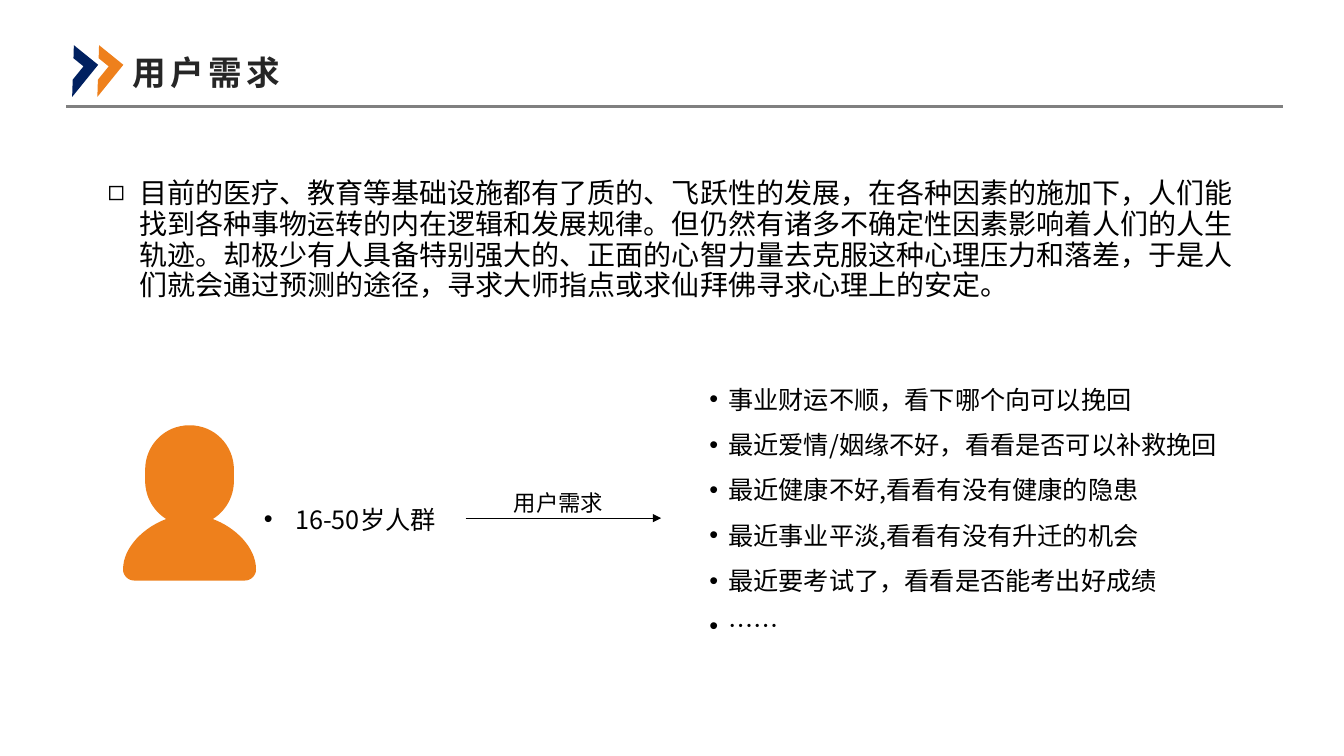
from dataclasses import dataclass

from lxml import etree
from pptx import Presentation
from pptx.dml.color import RGBColor
from pptx.enum.shapes import MSO_CONNECTOR, MSO_SHAPE
from pptx.enum.text import MSO_ANCHOR
from pptx.oxml.ns import qn
from pptx.util import Pt

STRAIGHT = MSO_CONNECTOR.STRAIGHT
HALF_FRAME = MSO_SHAPE.HALF_FRAME
TOP, MIDDLE = MSO_ANCHOR.TOP, MSO_ANCHOR.MIDDLE


@dataclass(frozen=True)
class Theme:
    black: str = "000000"
    heading: str = "262626"
    rule: str = "808080"
    navy: str = "002060"
    orange: str = "EE801C"
    latin: str = "Arial"
    cjk: str = "Noto Sans CJK SC"
    title_size: int = 24
    intro_size: int = 20
    body_size: int = 18
    label_size: int = 16


THEME = Theme()

INTRO = (
    "目前的医疗、教育等基础设施都有了质的、飞跃性的发展，在各种因素的施加下，"
    "人们能找到各种事物运转的内在逻辑和发展规律。但仍然有诸多不确定性因素影响着"
    "人们的人生轨迹。却极少有人具备特别强大的、正面的心智力量去克服这种心理压力和"
    "落差，于是人们就会通过预测的途径，寻求大师指点或求仙拜佛寻求心理上的安定。"
)
NEEDS = [
    "事业财运不顺，看下哪个向可以挽回",
    "最近爱情/姻缘不好，看看是否可以补救挽回",
    "最近健康不好,看看有没有健康的隐患",
    "最近事业平淡,看看有没有升迁的机会",
    "最近要考试了，看看是否能考出好成绩",
    "……",
]

# Right half of the person, from the crown down: offsets from the axis and crown
CROWN = (0, 0)
HEAD_TOP = [(18, 0), (31.7, 14.4), (31.7, 31.7)]
JAW_START = (31.7, 39.6)
JAW = [(31.7, 51.1), (25.9, 61.2), (16.6, 67)]
SHOULDER = [(32.4, 72.7), (47.5, 87.1), (47.5, 103)]
BASE_CORNER = [(47.5, 107.3), (43.9, 110.9), (39.6, 110.9)]


def add_bullet(paragraph, char, indent):
    properties = paragraph._p.get_or_add_pPr()
    properties.set("marL", str(Pt(indent)))
    properties.set("indent", str(-Pt(indent)))
    etree.SubElement(properties, qn("a:buFont")).set("typeface", THEME.latin)
    etree.SubElement(properties, qn("a:buChar")).set("char", char)


def add_text(slide, box, lines, size, color=THEME.black, face=THEME.cjk,
             bold=False, tracking=0, spacing=None, bullet=None, indent=0,
             inset_top=3.6, anchor=TOP):
    frame = slide.shapes.add_textbox(*map(Pt, box)).text_frame
    layout = {
        "word_wrap": True, "vertical_anchor": anchor,
        "margin_left": Pt(7.2), "margin_right": Pt(7.2),
        "margin_top": Pt(inset_top), "margin_bottom": Pt(3.6),
    }
    for name, value in layout.items():
        setattr(frame, name, value)
    for number, line in enumerate(lines):
        paragraph = frame.add_paragraph() if number else frame.paragraphs[0]
        if bullet:
            add_bullet(paragraph, bullet, indent)
        paragraph.line_spacing = spacing
        run = paragraph.add_run()
        run.text = line
        for name, value in {"name": face, "size": Pt(size), "bold": bold}.items():
            setattr(run.font, name, value)
        run.font.color.rgb = RGBColor.from_string(color)
        properties = run._r.get_or_add_rPr()
        etree.SubElement(properties, qn("a:ea")).set("typeface", THEME.cjk)
        if tracking:
            properties.set("spc", str(tracking * 100))


def add_rule(slide, left, right, y, color, width, arrow=False):
    rule = slide.shapes.add_connector(STRAIGHT, Pt(left), Pt(y), Pt(right), Pt(y))
    rule.line.color.rgb = RGBColor.from_string(color)
    rule.line.width = Pt(width)
    if arrow:
        outline = rule.line._get_or_add_ln()
        etree.SubElement(outline, qn("a:tailEnd")).set("type", "triangle")
    etree.SubElement(rule._element.spPr, qn("a:effectLst"))


def paint(shape, color):
    shape.shadow.inherit = False
    shape.fill.solid()
    shape.fill.fore_color.rgb = RGBColor.from_string(color)
    shape.line.fill.background()


def add_chevron(slide, left, color):
    chevron = slide.shapes.add_shape(HALF_FRAME, Pt(left), Pt(39.6), Pt(29.5), Pt(22.3))
    chevron.rotation = 129
    paint(chevron, color)


def curve(start, controls, steps=16):
    """Points along a cubic Bézier curve, without its start."""
    points = [start, *controls]
    result = []
    for step in range(1, steps + 1):
        t = step / steps
        weights = ((1 - t) ** 3, 3 * t * (1 - t) ** 2, 3 * t * t * (1 - t), t ** 3)
        result.append(tuple(sum(w * p[axis] for w, p in zip(weights, points))
                            for axis in (0, 1)))
    return result


def add_person(slide, axis, top):
    half = [CROWN, *curve(CROWN, HEAD_TOP), JAW_START]
    for controls in (JAW, SHOULDER, BASE_CORNER):
        half += curve(half[-1], controls)
    outline = half + [(-x, y) for x, y in reversed(half[1:])]
    points = [(Pt(axis + x), Pt(top + y)) for x, y in outline]
    builder = slide.shapes.build_freeform(*points[0])
    builder.add_line_segments(points[1:], close=True)
    paint(builder.convert_to_shape(), THEME.orange)


def main():
    deck = Presentation()
    deck.slide_width, deck.slide_height = Pt(960), Pt(540)
    slide = deck.slides.add_slide(deck.slide_layouts[6])

    add_rule(slide, 47.5, 916.5, 76.3, THEME.rule, 2.25)
    add_text(slide, (87.8, 23.8, 160.6, 55.4), ["用户需求"], THEME.title_size,
             THEME.heading, THEME.latin, bold=True, tracking=3, anchor=MIDDLE)
    for left, color in ((37.4, THEME.navy), (55.4, THEME.orange)):
        add_chevron(slide, left, color)

    add_text(slide, (69.8, 127.4, 822.2, 118.8), [INTRO], THEME.intro_size,
             spacing=Pt(22), bullet="◻", indent=22.5, inset_top=0)

    add_person(slide, 135.4, 303.8)
    add_text(slide, (181.4, 345.6, 187.2, 39.6), ["16-50岁人群"], THEME.body_size,
             spacing=1.5, bullet="•", indent=22.5)
    add_rule(slide, 332.6, 472.3, 370.1, THEME.black, 0.5, arrow=True)
    add_text(slide, (360, 336.2, 85.7, 36), ["用户需求"], THEME.label_size, spacing=1.5)
    add_text(slide, (499.7, 263.5, 393.1, 213.8), NEEDS, THEME.body_size,
             spacing=1.5, bullet="•", indent=13.5, inset_top=0)

    deck.save("out.pptx")


if __name__ == "__main__":
    main()
